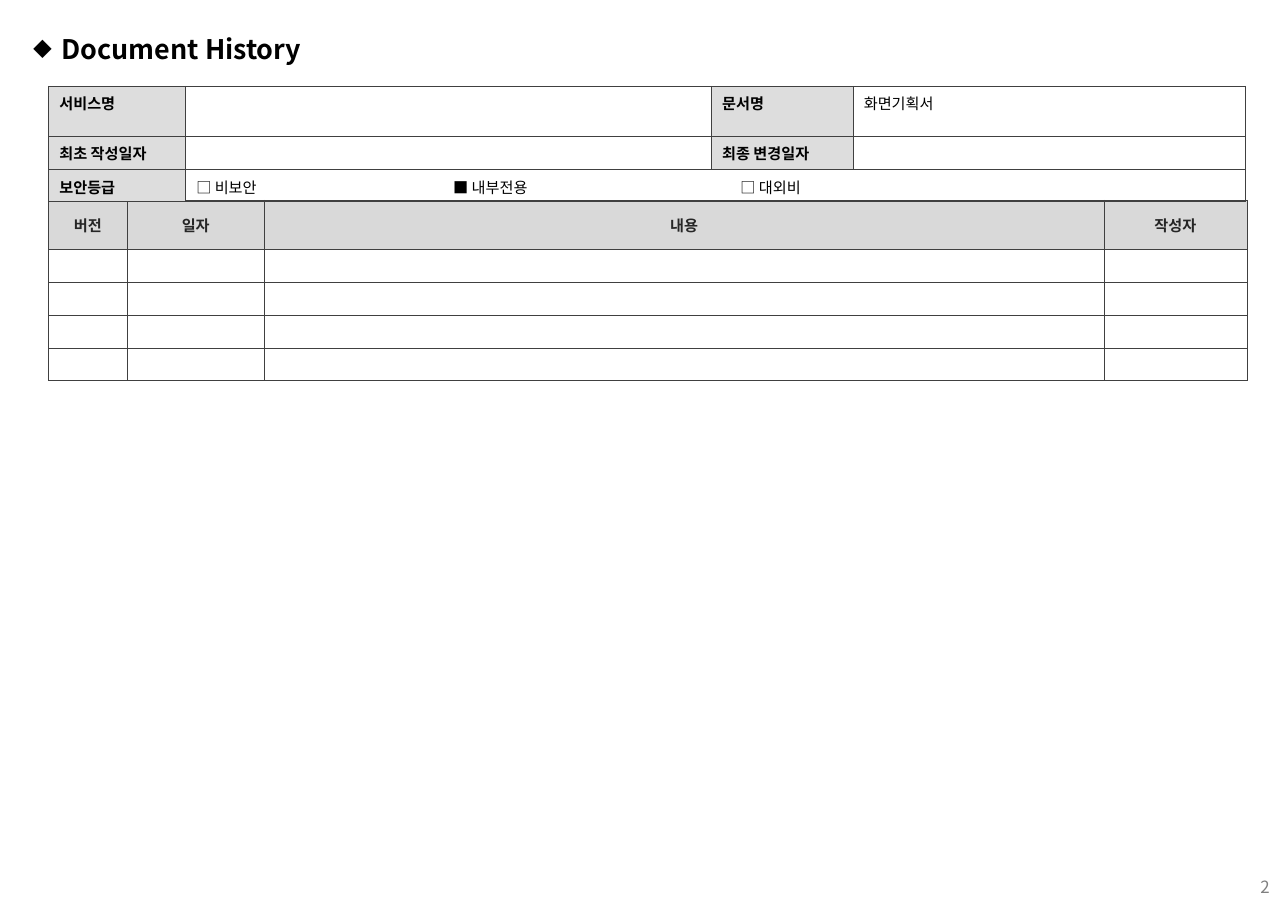
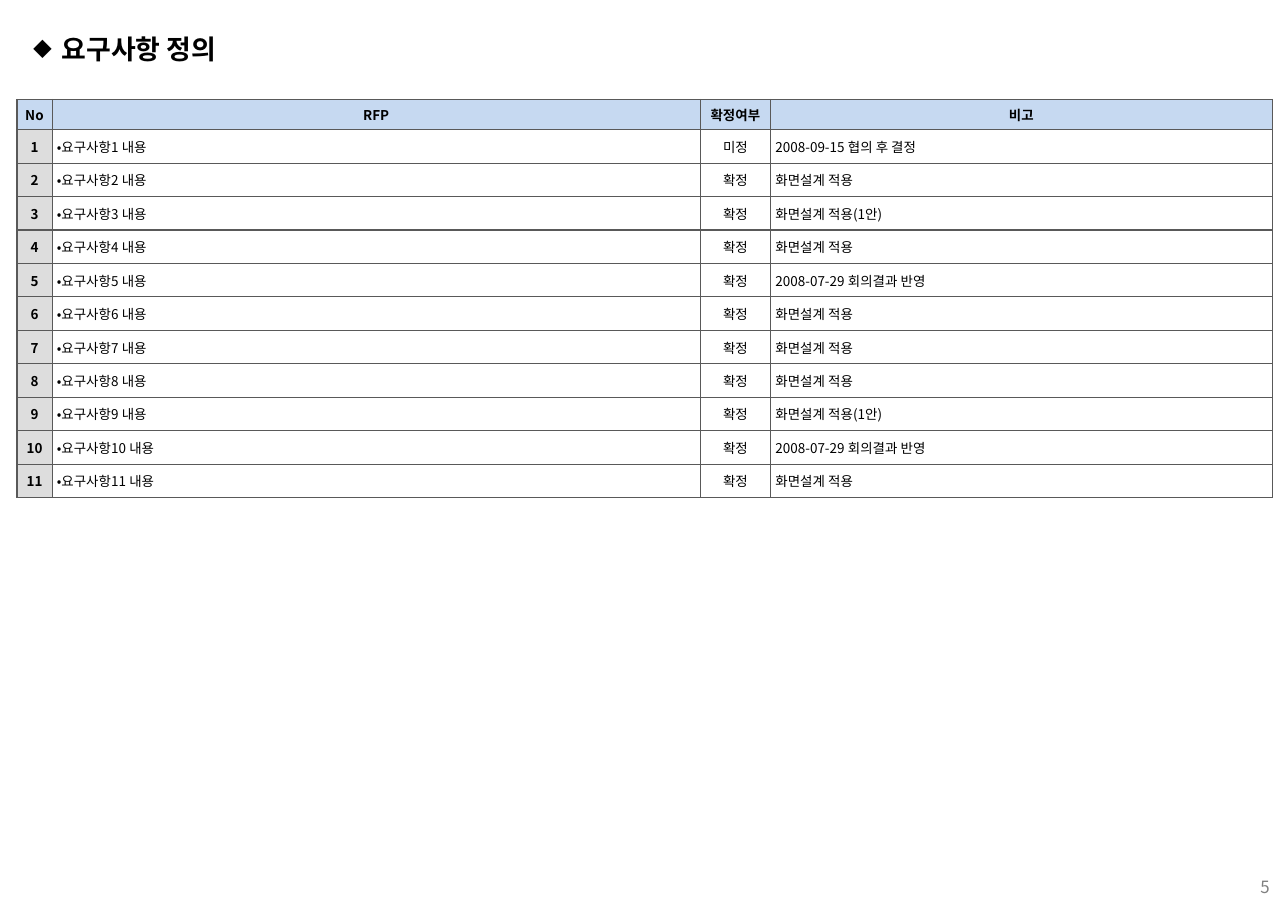
from lxml import etree
from pptx import Presentation
from pptx.dml import color
from pptx.enum import text
from pptx.oxml import ns
from pptx.util import Inches, Pt

FONT = "Noto Sans CJK KR"
INK = {"black": "000000", "dark": "262626", "page": "808080", "grid": "404040",
       "rule": "595959", "head": "D9D9D9", "label": "DDDDDD", "blue": "C6D9F1",
       "white": "FFFFFF"}
LEFT, MID, RIGHT = text.PP_ALIGN.LEFT, text.PP_ALIGN.CENTER, text.PP_ALIGN.RIGHT
TOP, CENTER = text.MSO_ANCHOR.TOP, text.MSO_ANCHOR.MIDDLE


def rgb(name):
    """Return the named colour."""
    return color.RGBColor.from_string(INK[name])


def sub(node, tag, **attrs):
    """Append a drawing element to a node."""
    return etree.SubElement(node, ns.qn(tag), **attrs)


def style(para, size, ink="black", bold=False, align=LEFT):
    """Set the font and alignment of a paragraph."""
    para.alignment = align
    font = para.font
    font.size, font.bold, font.name = Pt(size), bold, FONT
    font.color.rgb = rgb(ink)
    sub(font._rPr, "a:ea", typeface=FONT)


def bullet(para, char, hang=0, scale=100):
    """Give a paragraph a bullet with a hanging indent."""
    props = para._p.get_or_add_pPr()
    props.set("marL", str(Inches(hang)))
    props.set("indent", str(-Inches(hang)))
    sub(props, "a:buSzPct", val=str(scale * 1000))
    sub(props, "a:buFont", typeface=FONT)
    sub(props, "a:buChar", char=char)


def tabs(para, stops):
    """Add left tab stops to a paragraph."""
    row = sub(para._p.get_or_add_pPr(), "a:tabLst")
    for stop in stops:
        sub(row, "a:tab", pos=str(Inches(stop)), algn="l")


def inset(item, side, edge):
    """Set the inner margins of a cell or text frame."""
    item.margin_left = item.margin_right = Inches(side)
    item.margin_top = item.margin_bottom = Inches(edge)


def border(cell, ink, width):
    """Draw the four borders of a cell."""
    props = cell._tc.get_or_add_tcPr()
    for spot, side in enumerate("LRTB"):
        line = etree.Element(ns.qn(f"a:ln{side}"), w=str(Pt(width)))
        sub(sub(line, "a:solidFill"), "a:srgbClr", val=INK[ink])
        props.insert(spot, line)


def label(slide, box, words):
    """Add a one-line text box and return its frame and paragraph."""
    frame = slide.shapes.add_textbox(*map(Inches, box)).text_frame
    frame.vertical_anchor = CENTER
    para = frame.paragraphs[0]
    para.text = words
    return frame, para


def page(deck, title, number):
    """Add a slide with its title and page number."""
    slide = deck.slides.add_slide(deck.slide_layouts[6])
    frame, para = label(slide, (0.15, 0.25, 6.28, 0.3), title)
    frame.word_wrap = True
    inset(frame, 0.13, 0)
    bullet(para, "◆", 0.23, 70)
    style(para, 16, bold=True)
    frame, para = label(slide, (10.21, 7.19, 0.36, 0.26), number)
    frame.word_wrap = False
    inset(frame, 0.09, 0.04)
    style(para, 10, "page", align=RIGHT)
    return slide


def grid(slide, spot, cols, rows, ink, width):
    """Add a plain bordered table."""
    box = (*spot, sum(cols), sum(rows))
    table = slide.shapes.add_table(len(rows), len(cols), *map(Inches, box)).table
    table.first_row = table.horz_banding = False
    for parts, attr, sizes in ((table.columns, "width", cols), (table.rows, "height", rows)):
        for part, size in zip(parts, sizes):
            setattr(part, attr, Inches(size))
    for cell in table.iter_cells():
        border(cell, ink, width)
    return table


def put(cell, words, size, fill=None, anchor=CENTER, **look):
    """Fill a cell with styled text and return its paragraph."""
    cell.vertical_anchor = anchor
    if fill:
        cell.fill.solid()
        cell.fill.fore_color.rgb = rgb(fill)
    else:
        cell.fill.background()
    para = cell.text_frame.paragraphs[0]
    para.text = words
    style(para, size, **look)
    if not words:
        sub(para._p, "a:endParaRPr", sz=str(size * 100))
    return para


def log(slide, spot):
    """Add the version log."""
    heads = ["버전", "일자", "내용", "작성자"]
    table = grid(slide, spot, [0.65, 1.13, 6.93, 1.18], [0.41] + [0.27] * 4, "grid", 0.25)
    for r, row in enumerate(table.rows):
        for cell, head in zip(row.cells, heads):
            put(cell, "" if r else head, 9, "white" if r else "head",
                ink="dark", bold=not r, align=MID)


def facts(slide, spot):
    """Add the table of document facts."""
    grades = "□ 비보안\t■ 내부전용\t□ 대외비"
    data = [["서비스명", "", "문서명", "화면기획서"],
            ["최초 작성일자", "", "최종 변경일자", ""],
            ["보안등급", grades, "", ""]]
    table = grid(slide, spot, [1.13, 4.34, 1.17, 3.24], [0.41, 0.28, 0.26], "grid", 0.25)
    table.cell(2, 1).merge(table.cell(2, 3))
    for r, row in enumerate(data):
        for c, words in enumerate(row):
            cell = table.cell(r, c)
            inset(cell, 0.09, 0.05)
            if words == grades:
                tabs(cell.text_frame.paragraphs[0], [2.12, 4.49])
            name = c % 2 == 0 and words != ""
            put(cell, words, 9, "label" if name else None, TOP, bold=name)


def needs(slide, spot):
    """Add the table of requirements."""
    apply, option, met = "화면설계 적용", "화면설계 적용(1안)", "2008-07-29 회의결과 반영"
    notes = ["2008-09-15 협의 후 결정", apply, option, apply, met, apply,
             apply, apply, option, met, apply]
    data = [["No", "RFP", "확정여부", "비고"]]
    for n, note in enumerate(notes, 1):
        data.append([str(n), f"요구사항{n} 내용", "미정" if n == 1 else "확정", note])
    table = grid(slide, spot, [0.29, 5.35, 0.58, 4.14], [0.25] + [0.276] * len(notes),
                 "rule", 0.75)
    for r, row in enumerate(data):
        for c, words in enumerate(row):
            cell = table.cell(r, c)
            inset(cell, 0.04, 0.04)
            if r and c == 1:
                bullet(cell.text_frame.paragraphs[0], "•")
            fill = "blue" if r == 0 else "label" if c == 0 else None
            put(cell, words, 8, fill, bold=fill is not None,
                align=MID if r == 0 or c % 2 == 0 else LEFT)


def main():
    """Build the deck."""
    deck = Presentation()
    deck.slide_width, deck.slide_height = Inches(10.63), Inches(7.5)
    slide = page(deck, "Document History", "2")
    log(slide, (0.4, 1.65))
    facts(slide, (0.4, 0.71))
    needs(page(deck, "요구사항 정의", "5"), (0.14, 0.82))
    deck.save("out.pptx")


if __name__ == "__main__":
    main()
